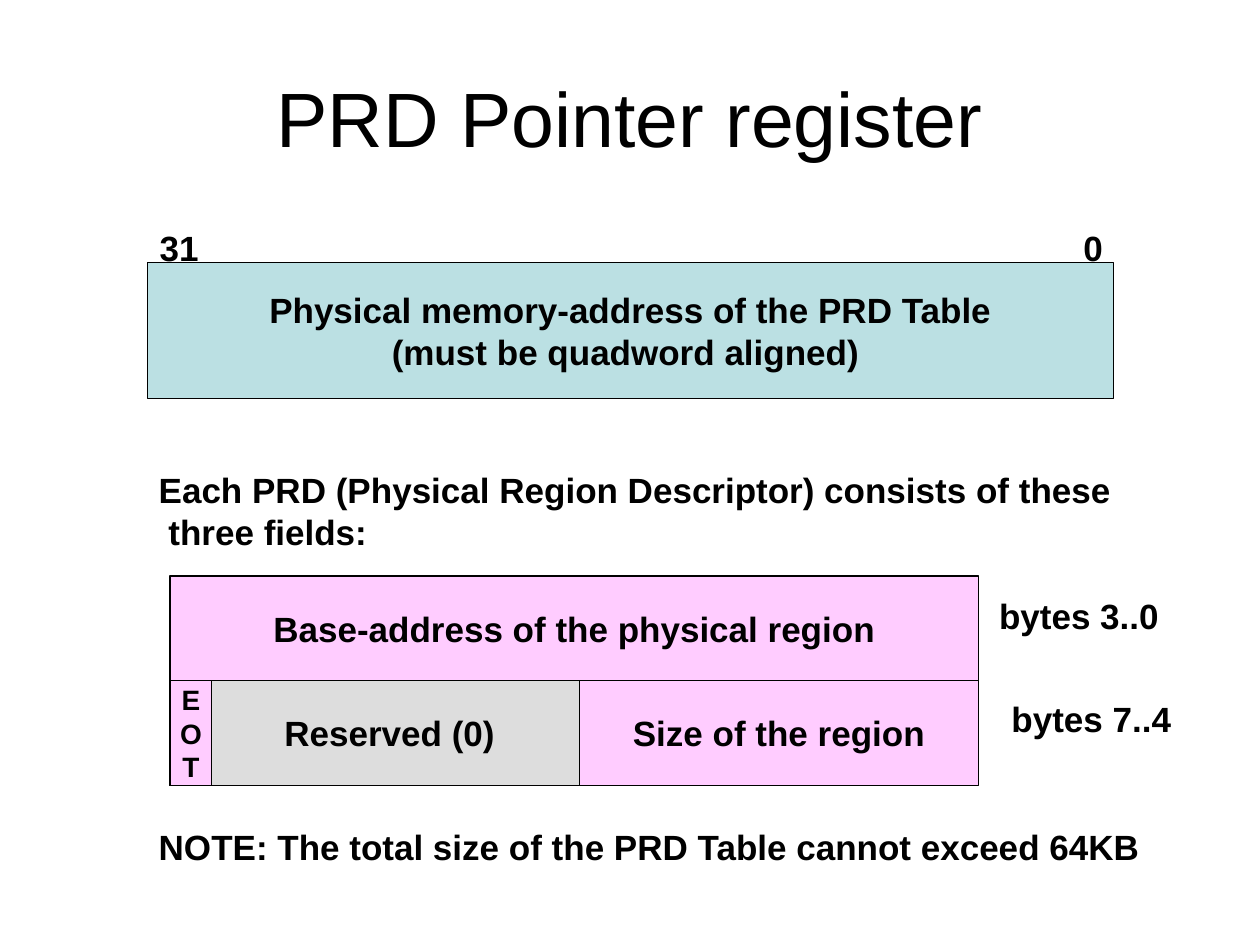
from pptx import Presentation
from pptx.dml.color import RGBColor
from pptx.enum.shapes import MSO_SHAPE
from pptx.enum.text import MSO_ANCHOR, MSO_AUTO_SIZE, PP_ALIGN
from pptx.util import Cm, Pt

RECT = MSO_SHAPE.RECTANGLE
MIDDLE = MSO_ANCHOR.MIDDLE
GROW = MSO_AUTO_SIZE.SHAPE_TO_FIT_TEXT
LEFT, CENTER = PP_ALIGN.LEFT, PP_ALIGN.CENTER

BLACK = RGBColor(0x00, 0x00, 0x00)
TEAL = RGBColor(0xBB, 0xE0, 0xE3)
PINK = RGBColor(0xFF, 0xCC, 0xFF)
GRAY = RGBColor(0xDD, 0xDD, 0xDD)

EDGE = 2.95
ROW_LEFT, ROW_TOP = 3.43, 11.61
ROW_WIDTH, ROW_HEIGHT = 16.3, 2.11
HALF = 8.25
LINE = 1.12


def write(frame, text, size, align, bold=True):
    """Put text in a frame and format every run."""
    frame.text = text
    for para in frame.paragraphs:
        para.alignment = align
        for run in para.runs:
            run.font.name = "Arial"
            run.font.size = Pt(size)
            run.font.bold = bold
            run.font.color.rgb = BLACK


def add_title(slide, text):
    """Add the centred heading."""
    frame = slide.shapes.add_textbox(Cm(1.27), Cm(0.76), Cm(22.86), Cm(3.18)).text_frame
    frame.word_wrap = True
    frame.vertical_anchor = MIDDLE
    write(frame, text, 44, CENTER, bold=False)


def add_label(slide, text, left, top, width, height=LINE):
    """Add a bold label that fits its text."""
    frame = slide.shapes.add_textbox(Cm(left), Cm(top), Cm(width), Cm(height)).text_frame
    frame.word_wrap = False
    frame.auto_size = GROW
    write(frame, text, 20, LEFT)


def add_field(slide, text, left, top, width, height, fill, size=20, inset=0.25):
    """Add an outlined register field with centred text."""
    field = slide.shapes.add_shape(RECT, Cm(left), Cm(top), Cm(width), Cm(height))
    field.shadow.inherit = False
    field.fill.solid()
    field.fill.fore_color.rgb = fill
    field.line.color.rgb = BLACK
    field.line.width = Pt(0.75)
    frame = field.text_frame
    frame.word_wrap = False
    frame.vertical_anchor = MIDDLE
    frame.margin_left = Cm(inset)
    write(frame, text, size, CENTER)


def add_pointer(slide):
    """Add the pointer register with its bit numbers."""
    add_field(slide, "Physical memory-address of the PRD Table\n(must be quadword aligned) ",
              2.97, 5.29, 19.48, 2.75, TEAL)
    add_label(slide, "31", 2.97, 4.45, 1.3)
    add_label(slide, "0", 21.59, 4.45, 0.88)


def add_record(slide):
    """Add the two rows of a descriptor with their byte ranges."""
    low = ROW_TOP + ROW_HEIGHT
    add_field(slide, "Base-address of the physical region",
              ROW_LEFT, ROW_TOP, ROW_WIDTH, ROW_HEIGHT, PINK)
    add_field(slide, "Size of the region",
              ROW_LEFT + HALF, low, ROW_WIDTH - HALF, ROW_HEIGHT, PINK)
    add_field(slide, "Reserved (0)", ROW_LEFT, low, HALF, ROW_HEIGHT, GRAY, inset=0.85)
    add_field(slide, "E\nO\nT", ROW_LEFT, low, 0.84, ROW_HEIGHT, PINK, size=16)
    add_label(slide, "bytes 3..0", 19.89, 11.86, 3.73)
    add_label(slide, "bytes 7..4", 20.14, 13.94, 3.73)


def main():
    """Build the slide and save it."""
    deck = Presentation()
    deck.slide_width, deck.slide_height = Cm(25.4), Cm(19.05)
    slide = deck.slides.add_slide(deck.slide_layouts[6])
    add_title(slide, "PRD Pointer register")
    add_pointer(slide)
    add_label(slide, "Each PRD (Physical Region Descriptor) consists of these\n three fields:",
              EDGE, 9.32, 19.71, 1.96)
    add_record(slide)
    add_label(slide, "NOTE: The total size of the PRD Table cannot exceed 64KB",
              EDGE, 16.51, 20.35)
    deck.save("out.pptx")


if __name__ == "__main__":
    main()
